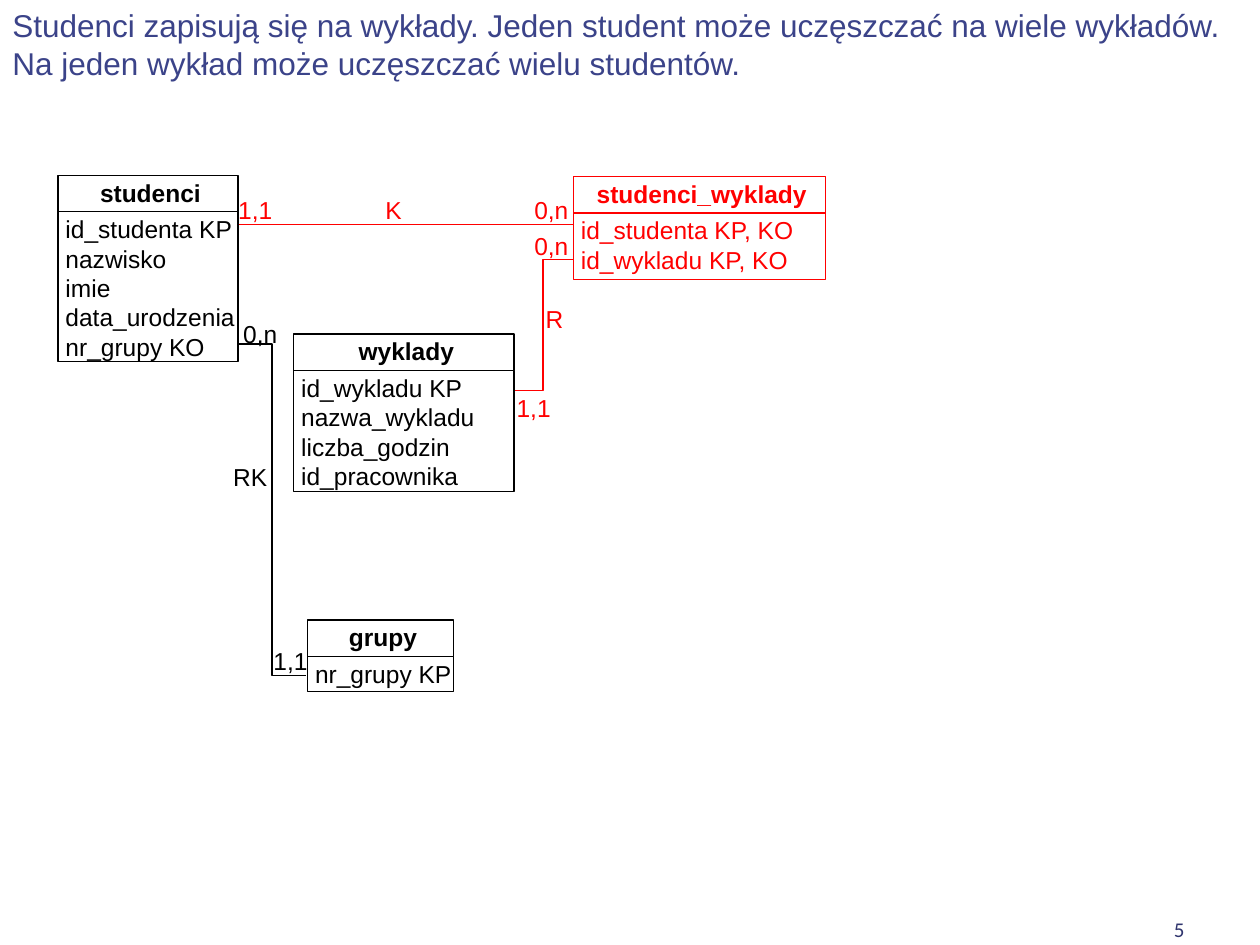
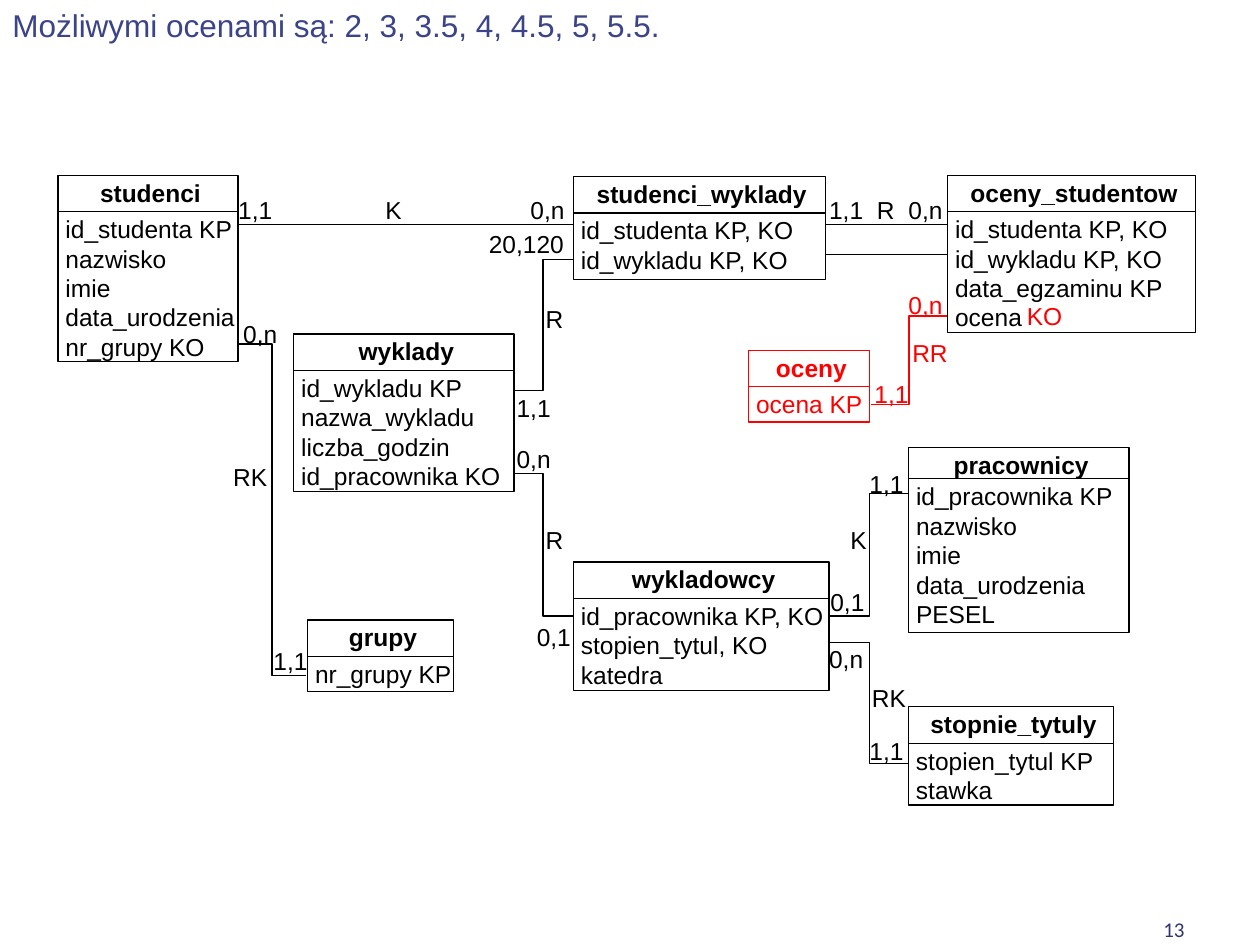
from dataclasses import dataclass

from pptx import Presentation
from pptx.dml.color import RGBColor
from pptx.enum.shapes import MSO_CONNECTOR, MSO_SHAPE
from pptx.enum.text import MSO_ANCHOR, PP_ALIGN
from pptx.oxml.ns import qn
from pptx.util import Inches, Pt


@dataclass(frozen=True)
class Theme:
    """Colours, fonts and sizes shared by the slides."""
    title: RGBColor = RGBColor(0x3B, 0x43, 0x89)
    number: RGBColor = RGBColor(0x30, 0x35, 0x6E)
    ink: RGBColor = RGBColor(0, 0, 0)
    new: RGBColor = RGBColor(0xFF, 0, 0)
    paper: RGBColor = RGBColor(0xFF, 0xFF, 0xFF)
    font: str = "Arial"
    number_font: str = "Calibri"
    title_size: int = 18
    diagram_size: int = 14
    number_size: int = 12
    line_width: float = 0.75
    indent: float = 0.04


THEME = Theme()

# Label sizes: relationship names by length, cardinalities by text.
ROLE_WIDTHS = {1: 0.23, 2: 0.32}
CARDINALITY_SIZES = {"0,n": (0.32, 0.18), "20,120": (0.67, 0.26), "KO": (0.38, 0.28)}
DEFAULT_CARDINALITY_SIZE = (0.55, 0.27)

# Entities: left, top, width, body height, name, attributes.
STUDENTS = (0.46, 1.39, 1.43, 1.19, "studenci",
            ["id_studenta KP", "nazwisko", "imie", "data_urodzenia", "nr_grupy KO"])
GROUPS = (2.44, 4.92, 1.16, 0.28, "grupy", ["nr_grupy KP"])
ENROLMENTS = (4.55, 1.4, 2, 0.53, "studenci_wyklady",
              ["id_studenta KP, KO", "id_wykladu KP, KO"])
GRADES = (5.94, 2.78, 0.96, 0.28, "oceny", ["ocena KP"])
STUDENT_GRADES = (7.52, 1.39, 1.97, 0.96, "oceny_studentow",
                  ["id_studenta KP, KO", "id_wykladu KP, KO", "data_egzaminu KP", "ocena"])
STAFF = (7.21, 3.55, 1.75, 1.22, "pracownicy",
         ["id_pracownika KP", "nazwisko", "imie", "data_urodzenia", "PESEL"])
LECTURERS = (4.55, 4.46, 2.03, 0.73, "wykladowcy",
             ["id_pracownika KP, KO", "stopien_tytul, KO", "katedra"])
DEGREES = (7.21, 5.61, 1.63, 0.49, "stopnie_tytuly", ["stopien_tytul KP", "stawka"])

# Relationships: x1, y1, x2, y2.
STUDENT_ENROLMENT = (1.85, 1.78, 4.64, 1.78)
STUDENT_GROUP = (1.89, 2.73, 2.43, 5.36)
LECTURE_ENROLMENT = (4.07, 3.1, 4.55, 2.06)


def lectures(staff_attribute):
    """Return the lectures entity with the given staff attribute."""
    return (2.33, 2.65, 1.75, 0.96, "wyklady",
            ["id_wykladu KP", "nazwa_wykladu", "liczba_godzin", staff_attribute])


def fill_text(shape, lines, color, size=THEME.diagram_size, font=THEME.font,
              bold=False, align=PP_ALIGN.LEFT, indent=0, insets=None,
              anchor=MSO_ANCHOR.TOP):
    """Write one paragraph per line in a single style."""
    frame = shape.text_frame
    frame.word_wrap = True
    frame.vertical_anchor = anchor
    if insets:
        (frame.margin_left, frame.margin_top,
         frame.margin_right, frame.margin_bottom) = map(Inches, insets)
    frame.text = "\n".join(lines)
    for paragraph in frame.paragraphs:
        paragraph.alignment = align
        paragraph.font.name = font
        paragraph.font.size = Pt(size)
        paragraph.font.bold = bold
        paragraph.font.color.rgb = color
        if indent:
            properties = paragraph._p.get_or_add_pPr()
            properties.set("marL", str(Inches(indent)))
            properties.set("indent", "0")


def add_text(slide, box, text, color, **style):
    """Add a text box at (left, top, width, height)."""
    fill_text(slide.shapes.add_textbox(*map(Inches, box)), [text], color, **style)


def add_cell(slide, box, lines, color, **style):
    """Add one outlined part of an entity."""
    cell = slide.shapes.add_shape(MSO_SHAPE.RECTANGLE, *map(Inches, box))
    cell.shadow.inherit = False
    cell.fill.solid()
    cell.fill.fore_color.rgb = THEME.paper
    cell.line.color.rgb = color
    cell.line.width = Pt(THEME.line_width)
    fill_text(cell, lines, color, indent=THEME.indent, **style)


def add_entity(slide, entity, color=THEME.ink, header_height=0.29):
    """Add an entity: its name above its attributes."""
    left, top, width, body_height, name, attributes = entity
    add_cell(slide, (left, top, width, header_height), [name], color,
             bold=True, align=PP_ALIGN.CENTER, insets=(0.1, 0.02, 0.1, 0.02))
    add_cell(slide, (left, top + header_height, width, body_height), attributes,
             color, insets=(0.02, 0.02, 0, 0.02))


def add_relationship(slide, ends, color=THEME.ink):
    """Join two points: straight when level, otherwise with an elbow."""
    kind = MSO_CONNECTOR.STRAIGHT if ends[1] == ends[3] else MSO_CONNECTOR.ELBOW
    link = slide.shapes.add_connector(kind, *map(Inches, ends))
    link.line.color.rgb = color
    link.line.width = Pt(THEME.line_width)
    properties = link._element.spPr
    properties.append(properties.makeelement(qn("a:effectLst"), {}))


def add_cardinalities(slide, labels, color=THEME.ink):
    """Add key and cardinality labels given as (left, top, text)."""
    for left, top, text in labels:
        size = CARDINALITY_SIZES.get(text, DEFAULT_CARDINALITY_SIZE)
        add_text(slide, (left, top, *size), text, color,
                 indent=THEME.indent, insets=(0, 0, 0, 0))


def add_roles(slide, labels, color=THEME.ink):
    """Add relationship names given as (left, top, text)."""
    for left, top, text in labels:
        add_text(slide, (left, top, ROLE_WIDTHS[len(text)], 0.25), text, color,
                 insets=(0, 0, 0, 0))


def add_base(prs, title, title_height, number):
    """Add a slide with its title and page number."""
    slide = prs.slides.add_slide(prs.slide_layouts[6])
    add_text(slide, (7.17, 7, 2.33, 0.52), number, THEME.number,
             size=THEME.number_size, font=THEME.number_font,
             align=PP_ALIGN.RIGHT, anchor=MSO_ANCHOR.BOTTOM)
    add_text(slide, (0, 0, 10, title_height), title, THEME.title,
             size=THEME.title_size)
    return slide


def add_core(slide, color, staff_attribute):
    """Add students, lectures and groups, with enrolments in the given colour."""
    add_relationship(slide, STUDENT_ENROLMENT, color)
    add_relationship(slide, STUDENT_GROUP)
    add_relationship(slide, LECTURE_ENROLMENT, color)
    for entity in (STUDENTS, lectures(staff_attribute), GROUPS):
        add_entity(slide, entity)
    add_entity(slide, ENROLMENTS, color)
    add_cardinalities(slide, [(2.13, 5.13, "1,1"), (1.89, 2.53, "0,n")])
    add_cardinalities(slide, [(1.85, 1.55, "1,1"), (4.06, 3.12, "1,1")], color)
    add_roles(slide, [(1.85, 3.67, "RK")])
    add_roles(slide, [(3.06, 1.55, "K"), (4.33, 2.41, "R")], color)


def build_enrolment_slide(prs):
    """Students enrol in lectures."""
    slide = add_base(
        prs, "Studenci zapisują się na wykłady. Jeden student może uczęszczać na "
        "wiele wykładów. Na jeden wykład może uczęszczać wielu studentów.", 0.71, "5")
    add_core(slide, THEME.new, "id_pracownika")
    add_cardinalities(slide, [(4.2, 1.55, "0,n"), (4.2, 1.83, "0,n")], THEME.new)


def build_grades_slide(prs):
    """The full diagram, with the dictionary of grades added."""
    slide = add_base(
        prs, "Możliwymi ocenami są: 2, 3, 3.5, 4, 4.5, 5, 5.5.", 0.4, "13")
    for ends in ((6.5, 2.02, 7.62, 2.02), (6.5, 1.78, 7.62, 1.78),
                 (6.43, 4.89, 7.37, 3.92), (6.43, 5.1, 7.37, 6.06),
                 (4.07, 3.76, 4.55, 4.89)):
        add_relationship(slide, ends)
    add_core(slide, THEME.ink, "id_pracownika KO")
    add_entity(slide, STAFF, header_height=0.25)
    for entity in (LECTURERS, DEGREES, STUDENT_GRADES):
        add_entity(slide, entity)
    add_entity(slide, GRADES, THEME.new)
    add_relationship(slide, (6.91, 3.21, 7.52, 2.51), THEME.new)
    add_cardinalities(slide, [
        (4.17, 1.55, "0,n"), (3.84, 1.82, "20,120"), (4.06, 3.52, "0,n"),
        (4.22, 4.94, "0,1"), (6.86, 3.72, "1,1"), (6.55, 4.66, "0,1"),
        (6.86, 5.84, "1,1"), (6.54, 5.11, "0,n"), (7.17, 1.55, "0,n"),
        (6.54, 1.55, "1,1")])
    add_cardinalities(slide, [(6.9, 3.01, "1,1"), (7.17, 2.3, "0,n"),
                              (8.11, 2.39, "KO")], THEME.new)
    add_roles(slide, [(6.75, 4.17, "K"), (4.33, 4.17, "R"),
                      (6.92, 5.42, "RK"), (6.96, 1.55, "R")])
    add_roles(slide, [(7.24, 2.68, "RR")], THEME.new)


def main():
    """Build and save the presentation."""
    prs = Presentation()
    prs.slide_width, prs.slide_height = Inches(10), Inches(7.5)
    build_enrolment_slide(prs)
    build_grades_slide(prs)
    prs.save("out.pptx")


main()
